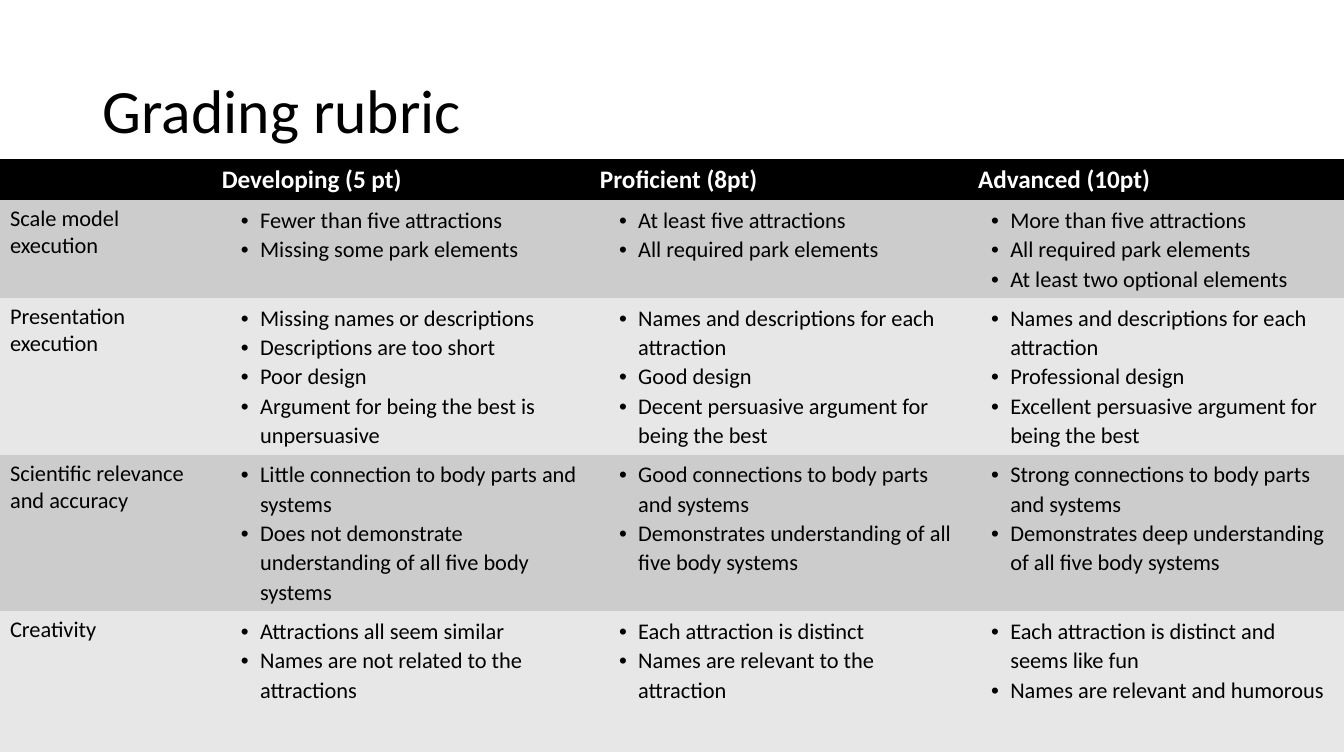
"""Build the grading rubric slide: a title above a full-width table."""
from dataclasses import dataclass

from lxml import etree
from pptx import Presentation
from pptx.dml.color import RGBColor
from pptx.enum.text import MSO_ANCHOR, MSO_AUTO_SIZE, PP_ALIGN
from pptx.oxml.ns import qn
from pptx.util import Emu, Inches, Pt

LEFT = PP_ALIGN.LEFT
MIDDLE = MSO_ANCHOR.MIDDLE
NO_AUTOFIT = MSO_AUTO_SIZE.NONE
TITLE_ONLY_LAYOUT = 5
PLAIN_TABLE_STYLE = "{2D5ABB26-0587-4C30-8999-92F81FD0307C}"

FONT = "Calibri"
COLORS = {"ink": "000000", "header": "000000", "header text": "FFFFFF",
          "dark band": "CCCCCC", "light band": "E7E7E7"}

COLUMN = Inches(0.15)
ROW = Inches(0.05)
COLUMN_SPANS = (14, 25, 25, 25)
HEADER_SPAN = 7
TABLE_TOP = 31.6
BULLET_MARGINS = (Inches(0.38), Inches(0.38), Inches(0.32))
BULLET_HANG = Inches(0.19)
LEVELS = ("Developing (5 pt)", "Proficient (8pt)", "Advanced (10pt)")


@dataclass(frozen=True)
class Criterion:
    name: str
    row_span: int
    levels: tuple[tuple[str, ...], ...]


CRITERIA = (
    Criterion("Scale model execution", 16, (
        ("Fewer than five attractions", "Missing some park elements"),
        ("At least five attractions", "All required park elements"),
        ("More than five attractions", "All required park elements",
         "At least two optional elements"))),
    Criterion("Presentation execution", 26, (
        ("Missing names or descriptions", "Descriptions are too short",
         "Poor design", "Argument for being the best is unpersuasive"),
        ("Names and descriptions for each attraction", "Good design",
         "Decent persuasive argument for being the best"),
        ("Names and descriptions for each attraction", "Professional design",
         "Excellent persuasive argument for being the best"))),
    Criterion("Scientific relevance and accuracy", 26, (
        ("Little connection to body parts and systems",
         "Does not demonstrate understanding of all five body systems"),
        ("Good connections to body parts and systems",
         "Demonstrates understanding of all five body systems"),
        ("Strong connections to body parts and systems",
         "Demonstrates deep understanding of all five body systems"))),
    Criterion("Creativity", 28, (
        ("Attractions all seem similar",
         "Names are not related to the attractions"),
        ("Each attraction is distinct",
         "Names are relevant to the attraction"),
        ("Each attraction is distinct and seems like fun",
         "Names are relevant and humorous"))),
)


def columns(count: float) -> Emu:
    return Emu(round(count * COLUMN))


def rows(count: float) -> Emu:
    return Emu(round(count * ROW))


def add_run(paragraph, text: str, size: int, color: str, bold: bool = False) -> None:
    run = paragraph.add_run()
    run.text = text
    run.font.name = FONT
    run.font.size = Pt(size)
    run.font.bold = bold
    run.font.color.rgb = RGBColor.from_string(COLORS[color])


def add_bullet(paragraph, margin: Emu) -> None:
    properties = paragraph._p.get_or_add_pPr()
    properties.set("marL", str(margin))
    properties.set("indent", str(-BULLET_HANG))
    etree.SubElement(properties, qn("a:buFont"), typeface="Arial")
    etree.SubElement(properties, qn("a:buChar"), char="•")
    paragraph.line_spacing = 1.07


def fill_cell(cell, color: str) -> None:
    cell.fill.solid()
    cell.fill.fore_color.rgb = RGBColor.from_string(COLORS[color])


def add_bullet_list(cell, items: tuple[str, ...], margin: Emu) -> None:
    text_frame = cell.text_frame
    for index, item in enumerate(items):
        paragraph = text_frame.add_paragraph() if index else text_frame.paragraphs[0]
        add_bullet(paragraph, margin)
        add_run(paragraph, item, 16, "ink")


def add_title(slide) -> None:
    title = slide.shapes.title
    title.left, title.top = columns(6.13), rows(8)
    title.width, title.height = columns(76.67), rows(29)
    text_frame = title.text_frame
    text_frame.auto_size = NO_AUTOFIT
    text_frame.vertical_anchor = MIDDLE
    paragraph = text_frame.paragraphs[0]
    paragraph.alignment = LEFT
    paragraph.line_spacing = 0.9
    add_run(paragraph, "Grading rubric", 44, "ink")


def add_rubric(slide) -> None:
    row_spans = [HEADER_SPAN] + [criterion.row_span for criterion in CRITERIA]
    frame = slide.shapes.add_table(
        len(row_spans), len(COLUMN_SPANS), 0, rows(TABLE_TOP),
        columns(sum(COLUMN_SPANS)), rows(sum(row_spans)))
    table = frame.table
    table._tbl.tblPr.find(qn("a:tableStyleId")).text = PLAIN_TABLE_STYLE
    for column, span in zip(table.columns, COLUMN_SPANS):
        column.width = columns(span)
    for row, span in zip(table.rows, row_spans):
        row.height = rows(span)

    for index, heading in enumerate(("",) + LEVELS):
        cell = table.cell(0, index)
        fill_cell(cell, "header")
        if heading:
            add_run(cell.text_frame.paragraphs[0], heading, 18, "header text", True)

    for row_index, criterion in enumerate(CRITERIA, start=1):
        band = "dark band" if row_index % 2 else "light band"
        name_cell, *level_cells = table.rows[row_index].cells
        fill_cell(name_cell, band)
        add_run(name_cell.text_frame.paragraphs[0], criterion.name, 16, "ink")
        for cell, items, margin in zip(level_cells, criterion.levels, BULLET_MARGINS):
            fill_cell(cell, band)
            add_bullet_list(cell, items, margin)


def main() -> None:
    presentation = Presentation()
    presentation.slide_width = Inches(13.33)
    presentation.slide_height = Inches(7.5)
    slide = presentation.slides.add_slide(presentation.slide_layouts[TITLE_ONLY_LAYOUT])
    add_title(slide)
    add_rubric(slide)
    presentation.save("out.pptx")


if __name__ == "__main__":
    main()
